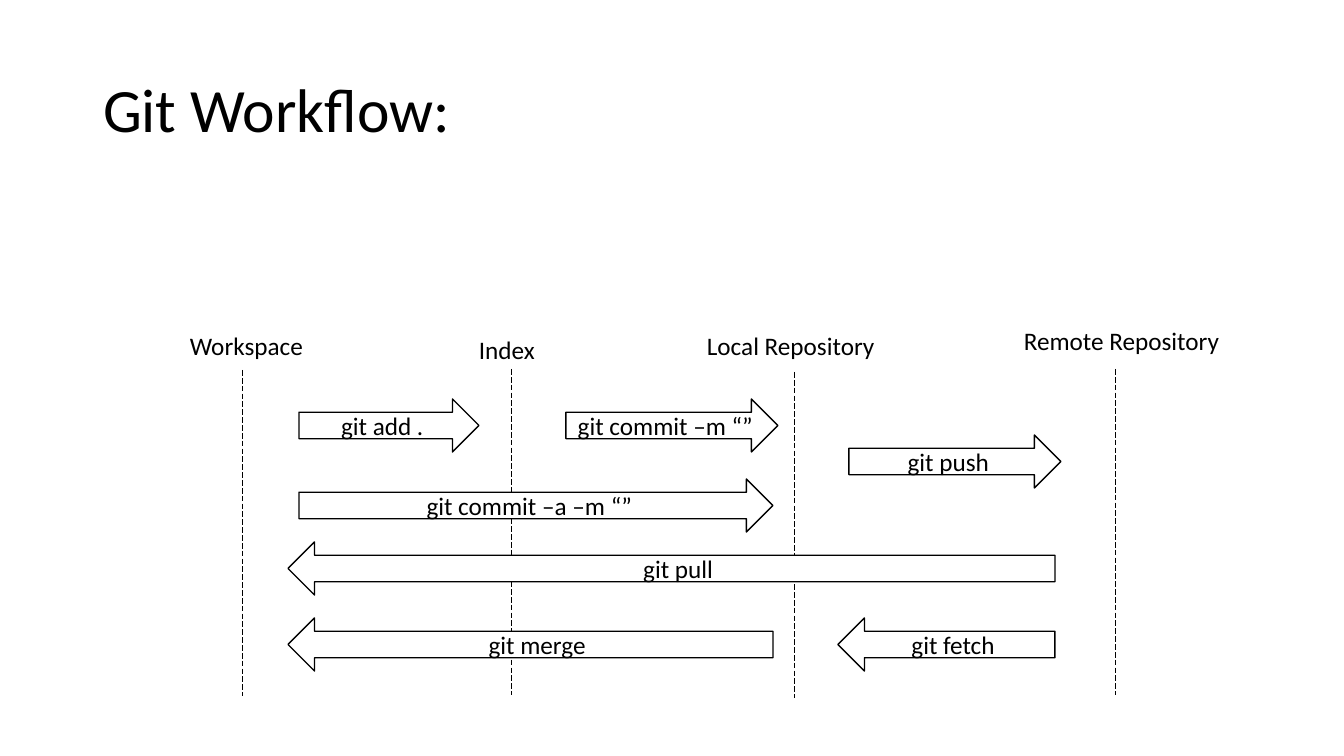
from dataclasses import dataclass

from lxml.etree import SubElement
from pptx import Presentation
from pptx.dml.color import RGBColor
from pptx.enum.dml import MSO_LINE
from pptx.enum.shapes import MSO_CONNECTOR, MSO_SHAPE
from pptx.enum.text import MSO_ANCHOR, MSO_AUTO_SIZE, PP_ALIGN
from pptx.oxml.ns import qn
from pptx.util import Emu, Pt


@dataclass(frozen=True)
class Theme:
    font: str = "Calibri"
    ink: RGBColor = RGBColor(0, 0, 0)
    paper: RGBColor = RGBColor(255, 255, 255)
    title: int = 44
    body: int = 18
    edge: float = 1
    dash: float = 0.5


THEME = Theme()
SCALE = 914400 / 100.8
LANE_H = 326
ARROW_H = 53
RIGHT, LEFT = MSO_SHAPE.RIGHT_ARROW, MSO_SHAPE.LEFT_ARROW

# name, label left, label top, label width, line x, line top
LANES = [
    ("Workspace", 180, 325, 147, 242, 370),
    ("Index", 469, 329, 91, 511, 369),
    ("Local Repository", 697, 325, 192, 794, 372),
    ("Remote Repository", 1014, 320, 222, 1115, 369),
]

# command, direction, left, top, width
STEPS = [
    ("git add .", RIGHT, 299, 399, 180),
    ("git commit –m “”", RIGHT, 566, 399, 212),
    ("git commit –a –m “”", RIGHT, 299, 479, 474),
    ("git push", RIGHT, 849, 435, 212),
    ("git pull", LEFT, 288, 542, 767),
    ("git fetch", LEFT, 838, 618, 217),
    ("git merge", LEFT, 288, 618, 485),
]


def px(*sizes):
    """Turn pixel lengths into EMU."""
    return [Emu(round(size * SCALE)) for size in sizes]


def write(shape, text, *, size=THEME.body, align=PP_ALIGN.LEFT,
          anchor=MSO_ANCHOR.TOP, fit=MSO_AUTO_SIZE.NONE, spacing=None):
    frame = shape.text_frame
    frame.text = text
    frame.word_wrap = True
    frame.auto_size = fit
    frame.vertical_anchor = anchor
    para = frame.paragraphs[0]
    para.alignment = align
    para.line_spacing = spacing
    font = para.runs[0].font
    font.name = THEME.font
    font.size = Pt(size)
    font.color.rgb = THEME.ink


def add_title(slide, text):
    title = slide.shapes.title
    title.left, title.top, title.width, title.height = px(93, 40, 1159, 146)
    write(title, text, size=THEME.title, anchor=MSO_ANCHOR.MIDDLE, spacing=0.9)


def add_label(slide, text, left, top, width):
    box = slide.shapes.add_textbox(*px(left, top, width, 40))
    write(box, text, fit=MSO_AUTO_SIZE.SHAPE_TO_FIT_TEXT)


def add_lane(slide, x, top):
    lane = slide.shapes.add_connector(
        MSO_CONNECTOR.STRAIGHT, *px(x, top, x, top + LANE_H))
    lane.line.color.rgb = THEME.ink
    lane.line.width = Pt(THEME.dash)
    lane.line.dash_style = MSO_LINE.LONG_DASH
    SubElement(lane._element.spPr, qn("a:effectLst"))


def add_step(slide, text, kind, left, top, width):
    arrow = slide.shapes.add_shape(kind, *px(left, top, width, ARROW_H))
    arrow.shadow.inherit = False
    arrow.fill.solid()
    arrow.fill.fore_color.rgb = THEME.paper
    arrow.line.color.rgb = THEME.ink
    arrow.line.width = Pt(THEME.edge)
    write(arrow, text, align=PP_ALIGN.CENTER, anchor=MSO_ANCHOR.MIDDLE)


def main():
    deck = Presentation()
    deck.slide_width, deck.slide_height = px(1344, 756)
    slide = deck.slides.add_slide(deck.slide_layouts.get_by_name("Title Only"))
    add_title(slide, "Git Workflow:")
    for name, left, top, width, x, start in LANES:
        add_lane(slide, x, start)
        add_label(slide, name, left, top, width)
    for step in STEPS:
        add_step(slide, *step)
    deck.save("out.pptx")


if __name__ == "__main__":
    main()
